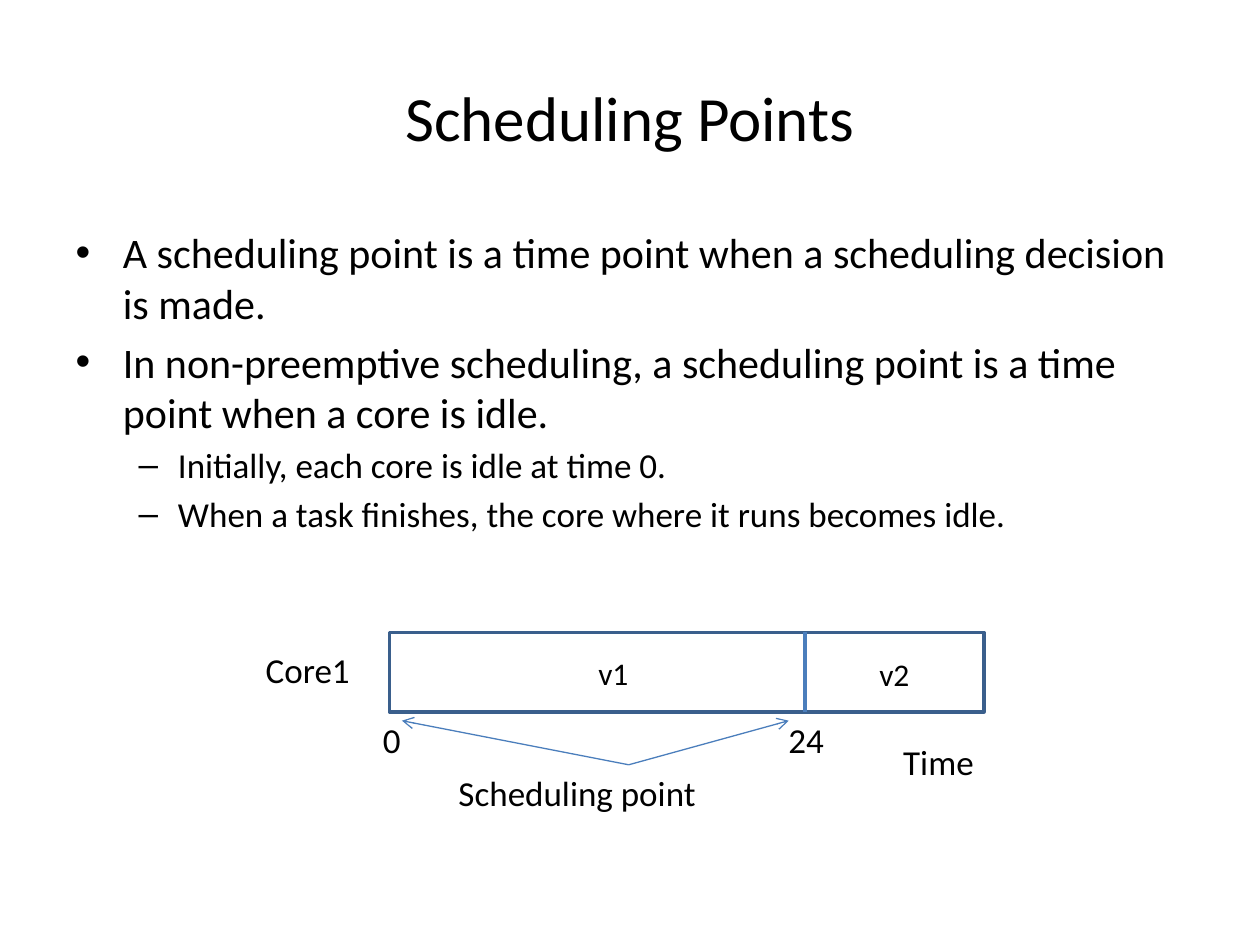
import pptx
import pptx.util
import pptx.dml.color
import pptx.enum.shapes
import pptx.enum.text
import pptx.oxml
import pptx.oxml.ns

HEADING = "Scheduling Points"
POINTS = [  # (level, wording)
    (0, "A scheduling point is a time point when a scheduling decision is made."),
    (0, "In non-preemptive scheduling, a scheduling point is a time point when a core is idle."),
    (1, "Initially, each core is idle at time 0."),
    (1, "When a task finishes, the core where it runs becomes idle."),
]
POINT_SIZES = (24, 20)
BLACK, WHITE, BAR_EDGE, RULE = "000000", "FFFFFF", "3A5F8C", "4B7EBC"

# Timeline of the core, in inches
START, TOP, LENGTH, DEPTH = 3.09, 5.02, 4.72, 0.63
SWITCH, BOTTOM = START + 3.3, TOP + DEPTH
CALLOUT_X, CALLOUT_Y = 4.99, BOTTOM + 0.42
ARROW_TIPS = (SWITCH - 0.13, START + 0.1)
LABELS = [  # wording, left, top, width, point size
    ("v1", 4.65, TOP + 0.12, 0.79, 18),
    ("v2", 6.88, TOP + 0.13, 0.79, 18),
    ("Time", 7.07, BOTTOM + 0.18, 1.17, 20),
    ("24", SWITCH - 0.23, BOTTOM, 1.17, 20),
    ("0", START - 0.15, BOTTOM, 1.17, 20),
    ("Scheduling point", 3.54, CALLOUT_Y, 2.91, 20),
    ("Core1", 2.01, TOP + 0.08, 0.93, 20),
]


def inches(*lengths):
    """Convert several lengths to slide units."""
    return [pptx.util.Inches(length) for length in lengths]


def colour(code):
    """Turn a hex string into a colour."""
    return pptx.dml.color.RGBColor.from_string(code)


def style(paragraph, size):
    """Set font, size and colour of every run in a paragraph."""
    for run in paragraph.runs:
        run.font.name = "Calibri"
        run.font.size = pptx.util.Pt(size)
        run.font.color.rgb = colour(BLACK)


def place(part, left, top, width, height):
    """Move and size a placeholder."""
    part.left, part.top, part.width, part.height = inches(left, top, width, height)


def add_label(slide, wording, left, top, width, size):
    """Add one line of left-aligned text."""
    label = slide.shapes.add_textbox(*inches(left, top, width, size * 0.022))
    label.text_frame.word_wrap = True
    label.text_frame.text = wording
    style(label.text_frame.paragraphs[0], size)


def add_line(slide, start, end, weight, arrow=False):
    """Draw a straight line, with an open arrowhead at its end if wanted."""
    line = slide.shapes.add_connector(
        pptx.enum.shapes.MSO_CONNECTOR.STRAIGHT, *inches(*start, *end))
    line.line.color.rgb = colour(RULE)
    line.line.width = pptx.util.Pt(weight)
    properties = line._element.spPr
    if arrow:
        head = pptx.oxml.parse_xml(
            '<a:tailEnd %s type="arrow"/>' % pptx.oxml.ns.nsdecls("a"))
        line.line._get_or_add_ln().append(head)
    properties.append(pptx.oxml.parse_xml(
        "<a:effectLst %s/>" % pptx.oxml.ns.nsdecls("a")))


deck = pptx.Presentation()
deck.slide_width, deck.slide_height = inches(10, 7.5)
slide = deck.slides.add_slide(deck.slide_layouts[1])

title = slide.shapes.title
place(title, 0.5, 0.3, 9, 1.25)
title.text_frame.text = HEADING
title.text_frame.vertical_anchor = pptx.enum.text.MSO_ANCHOR.MIDDLE
style(title.text_frame.paragraphs[0], 36)

body = slide.placeholders[1]
place(body, 0.5, 1.75, 9, 4.95)
body.text_frame.text = "\n".join(wording for _, wording in POINTS)
for paragraph, (level, _) in zip(body.text_frame.paragraphs, POINTS):
    paragraph.level = level
    style(paragraph, POINT_SIZES[level])

bar = slide.shapes.add_shape(
    pptx.enum.shapes.MSO_SHAPE.RECTANGLE, *inches(START, TOP, LENGTH, DEPTH))
bar.shadow.inherit = False
bar.fill.solid()
bar.fill.fore_color.rgb = colour(WHITE)
bar.line.color.rgb = colour(BAR_EDGE)
bar.line.width = pptx.util.Pt(2)
add_line(slide, (SWITCH, TOP), (SWITCH, BOTTOM), 2)

for label in LABELS:
    add_label(slide, *label)
for tip in ARROW_TIPS:
    add_line(slide, (CALLOUT_X, CALLOUT_Y), (tip, BOTTOM + 0.07), 0.75, arrow=True)

deck.save("out.pptx")
